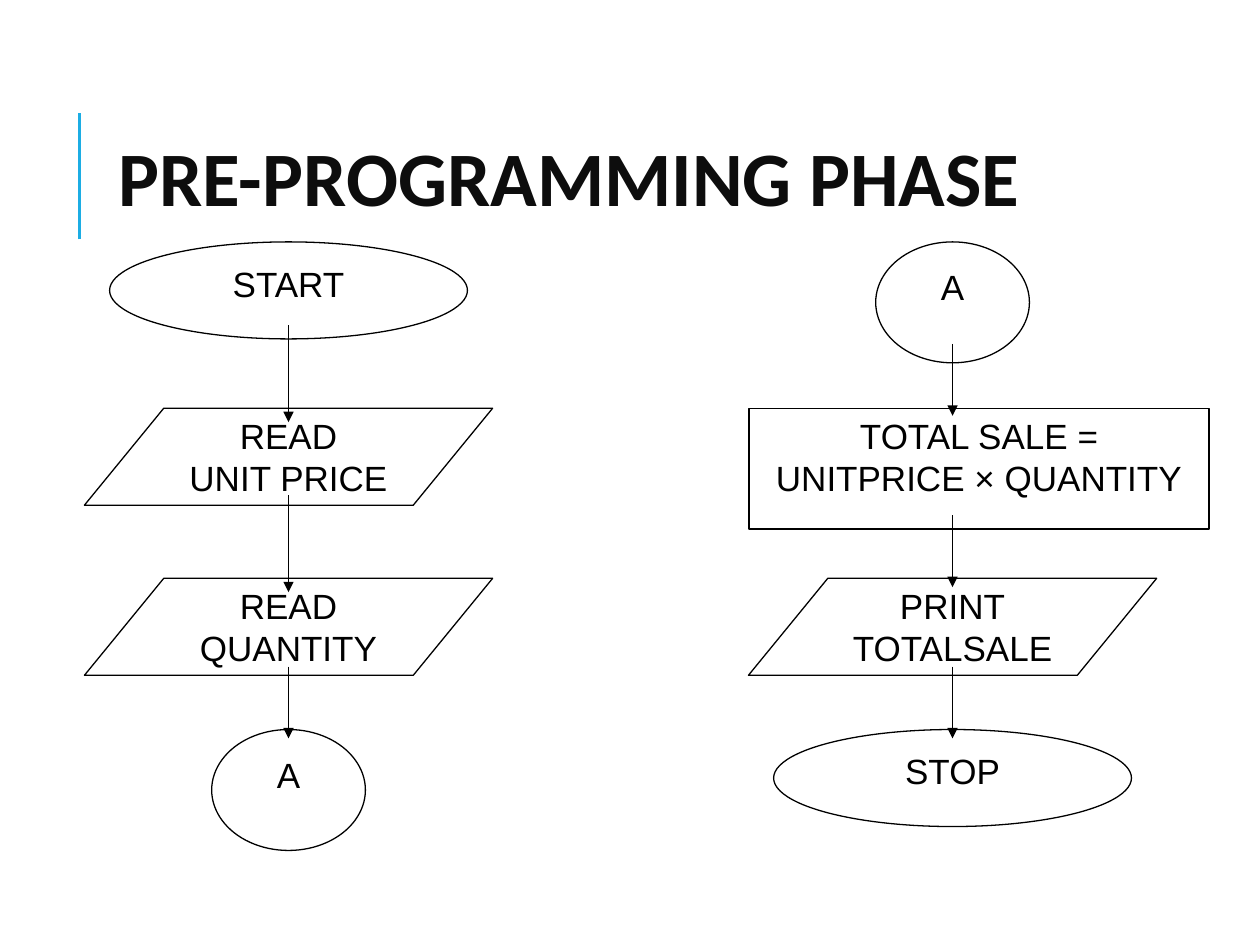
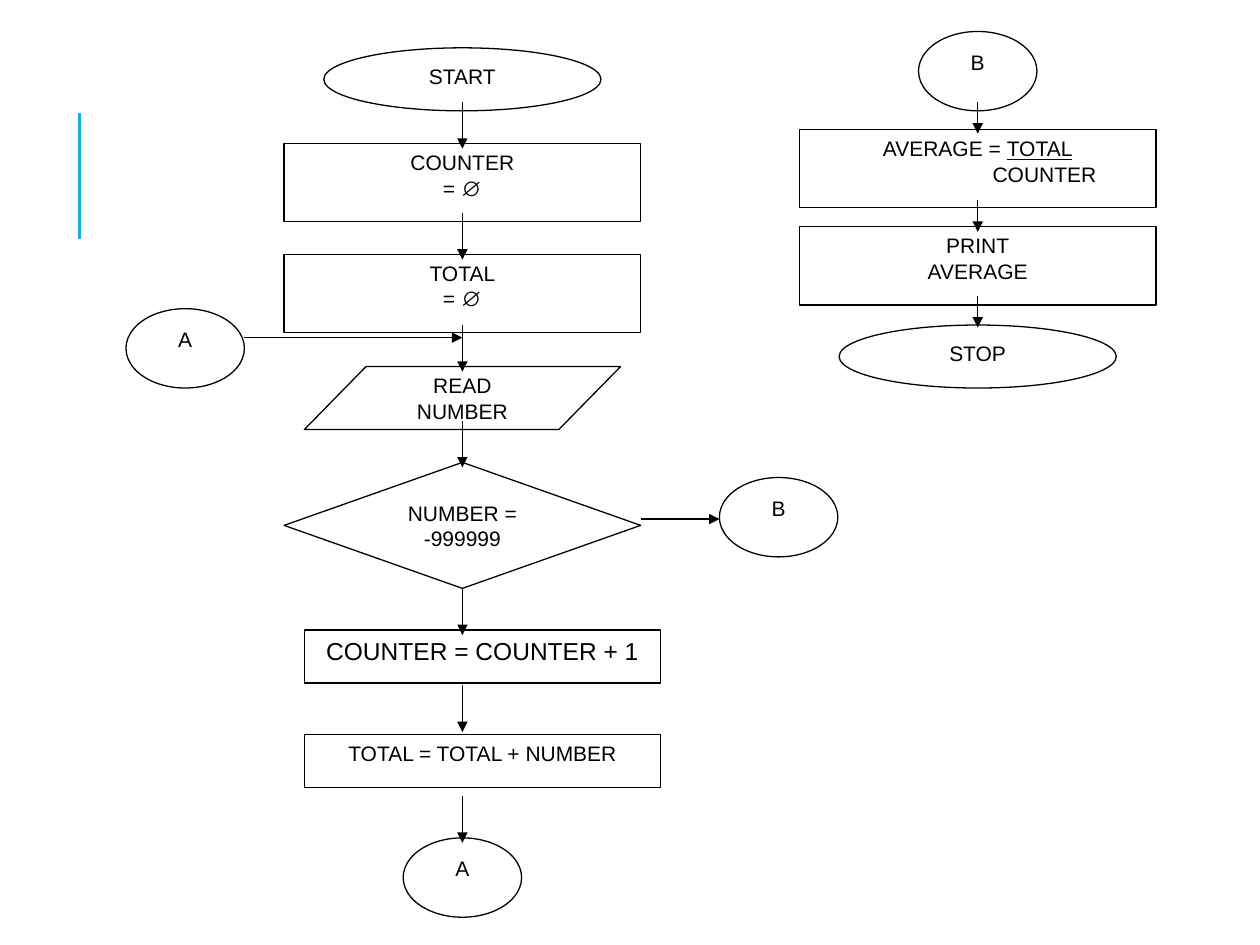
from lxml.etree import SubElement
from pptx import Presentation
from pptx.dml.color import RGBColor
from pptx.enum.shapes import MSO_CONNECTOR, MSO_SHAPE
from pptx.enum.text import MSO_ANCHOR, MSO_AUTO_SIZE, PP_ALIGN
from pptx.oxml.ns import qn
from pptx.util import Inches, Pt

COLOURS = {"accent": "1CADE4", "title": "0D0D0D", "ink": "000000", "paper": "FFFFFF"}
TITLE_FONT, CHART_FONT = "Calibri", "Arial"
TITLE_ONLY, BLANK = 5, 6

LARGE_SIZES = {"terminal": (2.84, 0.77), "circle": (1.22, 0.96),
               "data": (3.24, 0.77), "process": (3.65, 0.96)}
SMALL_SIZES = {"terminal": (2.2, 0.5), "circle": (0.94, 0.63), "data": (2.51, 0.5),
               "process": (2.83, 0.62), "short process": (2.83, 0.42),
               "decision": (2.83, 1)}
SHAPES = {"terminal": MSO_SHAPE.OVAL, "circle": MSO_SHAPE.OVAL,
          "data": MSO_SHAPE.PARALLELOGRAM, "process": MSO_SHAPE.RECTANGLE,
          "short process": MSO_SHAPE.RECTANGLE, "decision": MSO_SHAPE.DIAMOND}


def colour(name):
    return RGBColor.from_string(COLOURS[name])


class Flowchart:
    """Holds the deck, the current page and the style of its symbols."""

    def __init__(self):
        self.deck = Presentation()
        self.deck.slide_width, self.deck.slide_height = Inches(10), Inches(7.5)

    def new_page(self, layout, sizes, text_size, slant):
        self.page = self.deck.slides.add_slide(self.deck.slide_layouts[layout])
        self.sizes, self.text_size, self.slant = sizes, text_size, slant
        self.line((0.63, 1.9), (0.63, 0.9), "accent", 1.5)

    def title(self, text):
        box = self.page.shapes.title
        box.left, box.top, box.width, box.height = map(Inches, (0.84, 0.64, 7.97, 1.64))
        frame = box.text_frame
        frame.text = text
        frame.vertical_anchor = MSO_ANCHOR.MIDDLE
        frame.auto_size = MSO_AUTO_SIZE.NONE
        para = frame.paragraphs[0]
        para.alignment, para.line_spacing = PP_ALIGN.LEFT, 0.8
        self.style(para, TITLE_FONT, 44, "title", bold=True)

    def style(self, para, font, size, ink, bold=False):
        para.font.name, para.font.size, para.font.bold = font, Pt(size), bold
        para.font.color.rgb = colour(ink)

    def line(self, start, end, ink="ink", weight=0.75):
        line = self.page.shapes.add_connector(
            MSO_CONNECTOR.STRAIGHT, *map(Inches, (*start, *end)))
        line.line.color.rgb, line.line.width = colour(ink), Pt(weight)
        SubElement(line._element.spPr, qn("a:effectLst"))
        return line

    def arrow(self, start, end):
        arrow = self.line(start, end)
        SubElement(arrow.line._get_or_add_ln(), qn("a:tailEnd"), type="triangle")
        return arrow

    def arrows_down(self, centre, length, tops):
        for top in tops:
            self.arrow((centre, top), (centre, top + length))

    def symbol(self, kind, centre, top, text, text_size=None):
        """Draws one flowchart symbol; each line of text is a paragraph."""
        width, height = self.sizes[kind]
        box = self.page.shapes.add_shape(
            SHAPES[kind], *map(Inches, (centre - width / 2, top, width, height)))
        box.shadow.inherit = False
        box.fill.solid()
        box.fill.fore_color.rgb = colour("paper")
        box.line.color.rgb, box.line.width = colour("ink"), Pt(0.75)
        frame = box.text_frame
        frame.word_wrap = True
        frame.vertical_anchor = MSO_ANCHOR.TOP
        frame.margin_left = frame.margin_right = Inches(0.02)
        frame.margin_top = frame.margin_bottom = Inches(0.05)
        if kind == "data":
            box.adjustments[0] = self.slant / height
            frame.vertical_anchor = MSO_ANCHOR.MIDDLE
            frame.margin_top = frame.margin_bottom = 0
        for number, words in enumerate(text.split("\n")):
            para = frame.add_paragraph() if number else frame.paragraphs[0]
            para.add_run().text = words
            para.alignment = PP_ALIGN.CENTER
            self.style(para, CHART_FONT, text_size or self.text_size, "ink")
        return box

    def fraction(self, centre, top, lead, numerator, denominator):
        """Draws a process whose underlined numerator stands over its denominator."""
        box = self.symbol("process", centre, top, f"{lead}\n{denominator}")
        upper, lower = box.text_frame.paragraphs
        span = upper.add_run()
        span.text, span.font.underline = numerator, True
        lower._p.get_or_add_pPr().set("marL", str(Inches(1.06)))


def total_sale_page(chart):
    chart.new_page(TITLE_ONLY, LARGE_SIZES, text_size=20, slant=0.63)
    chart.title("PRE-PROGRAMMING PHASE")
    left, right = 2.29, 7.56
    row_tops = (1.92, 3.24, 4.59, 5.79)
    columns = (
        (("terminal", left, "START"), ("data", left, "READ\nUNIT PRICE"),
         ("data", left, "READ\nQUANTITY"), ("circle", left, "A")),
        (("circle", right, "A"),
         ("process", 7.77, "TOTAL SALE =\nUNITPRICE × QUANTITY"),
         ("data", right, "PRINT\nTOTALSALE"), ("terminal", right, "STOP")),
    )
    for column in columns:
        for top, (kind, centre, text) in zip(row_tops, column):
            chart.symbol(kind, centre, top, text)
    chart.arrows_down(left, 0.77, (2.58, 3.93))
    chart.arrows_down(left, 0.57, (5.29,))
    chart.arrows_down(right, 0.57, (2.73, 4.09, 5.29))


def average_page(chart):
    chart.new_page(BLANK, SMALL_SIZES, text_size=12, slant=0.49)
    main, lower, right = 3.67, 3.83, 7.76
    for kind, centre, top, text in (
        ("terminal", main, 0.38, "START"),
        ("process", main, 1.14, "COUNTER\n= ∅"),
        ("process", main, 2.02, "TOTAL\n= ∅"),
        ("data", main, 2.91, "READ\nNUMBER"),
        ("short process", lower, 5.83, "TOTAL = TOTAL + NUMBER"),
        ("circle", main, 6.65, "A"),
        ("circle", 1.47, 2.45, "A"),
        ("circle", 6.18, 3.79, "B"),
        ("circle", right, 0.25, "B"),
        ("process", right, 1.8, "PRINT\nAVERAGE"),
        ("terminal", right, 2.58, "STOP"),
    ):
        chart.symbol(kind, centre, top, text)
    chart.symbol("short process", lower, 5, "COUNTER = COUNTER + 1", text_size=14)
    chart.fraction(right, 1.03, "AVERAGE = ", "TOTAL", "COUNTER")
    decision = chart.symbol("decision", main, 3.67, "NUMBER =\n-999999")

    chart.arrows_down(main, 0.37, (0.81, 1.69, 2.58, 3.34, 5.44, 6.32))
    chart.arrows_down(right, 0.25, (0.81, 1.59, 2.35))
    chart.arrow((main, 4.67), (main, 5.04)).begin_connect(decision, 2)
    chart.arrow((1.94, 2.68), (main, 2.68))
    chart.arrow((5.09, 4.12), (5.71, 4.12))


def main():
    chart = Flowchart()
    total_sale_page(chart)
    average_page(chart)
    chart.deck.save("out.pptx")


if __name__ == "__main__":
    main()
